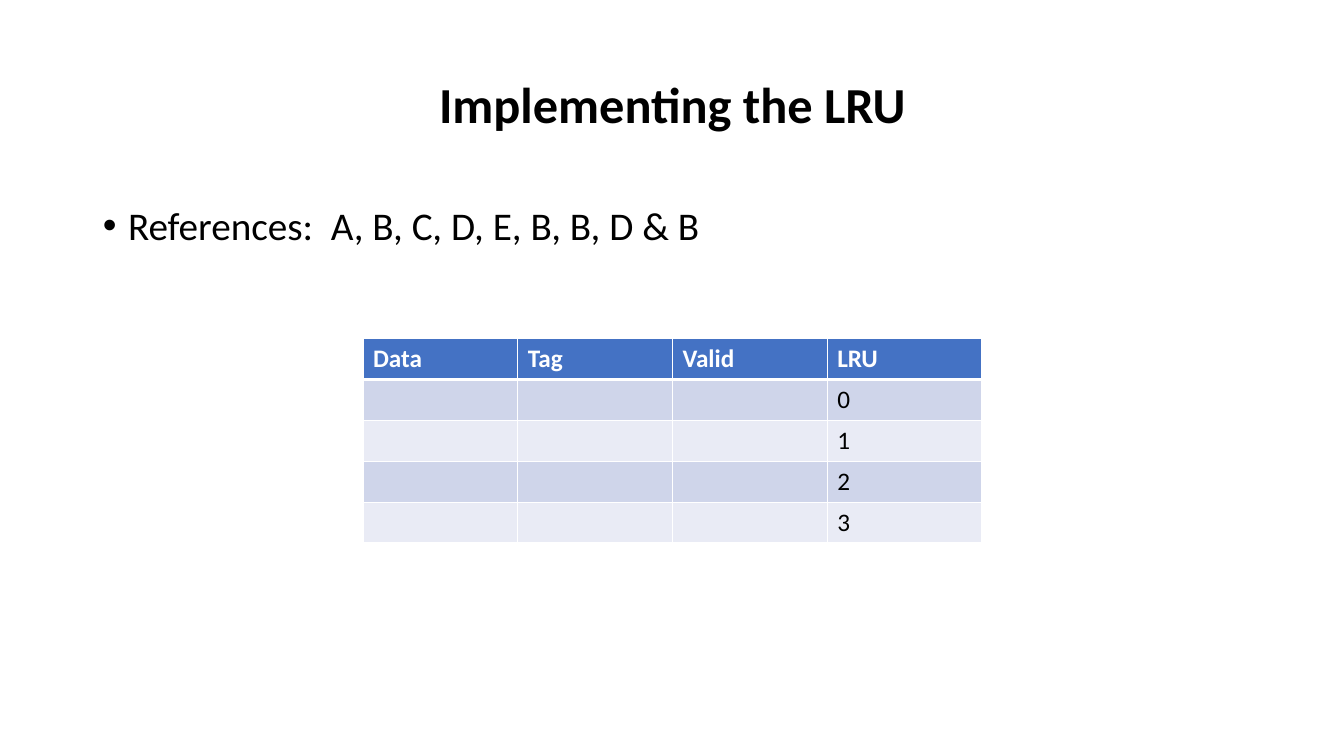
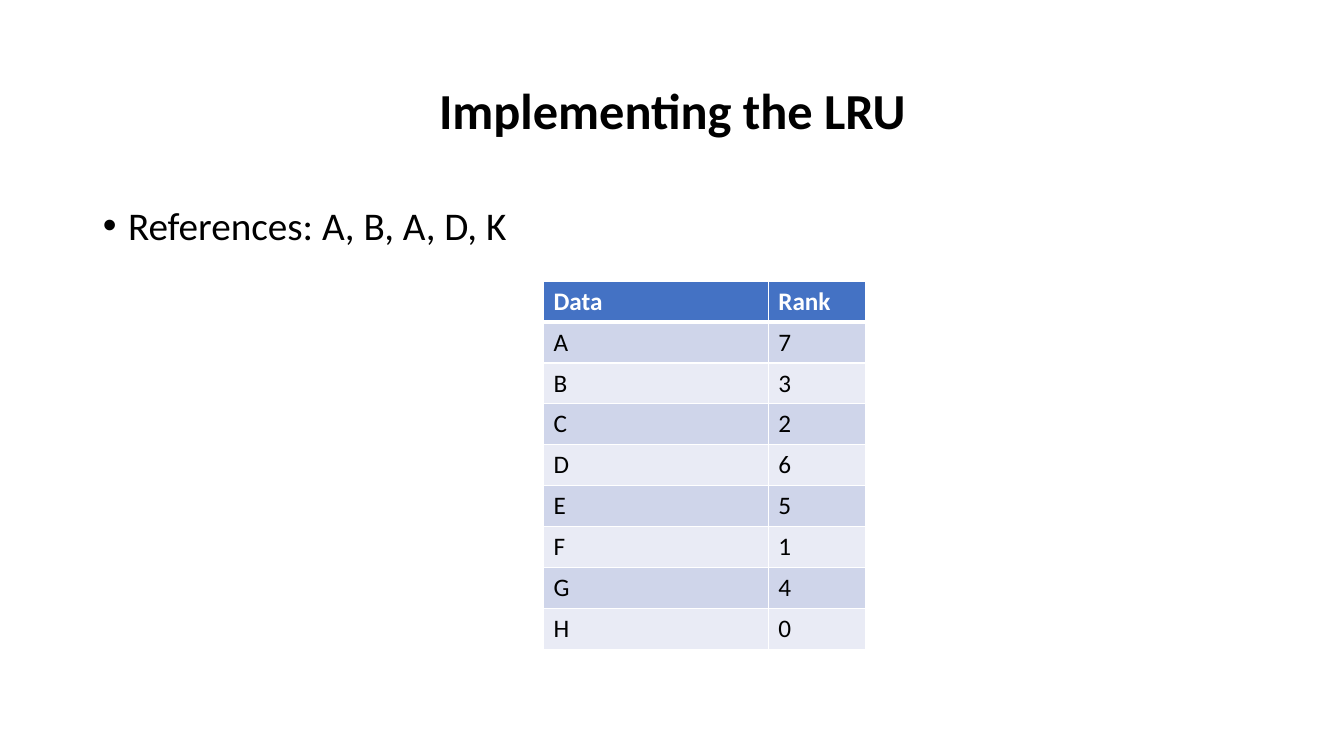
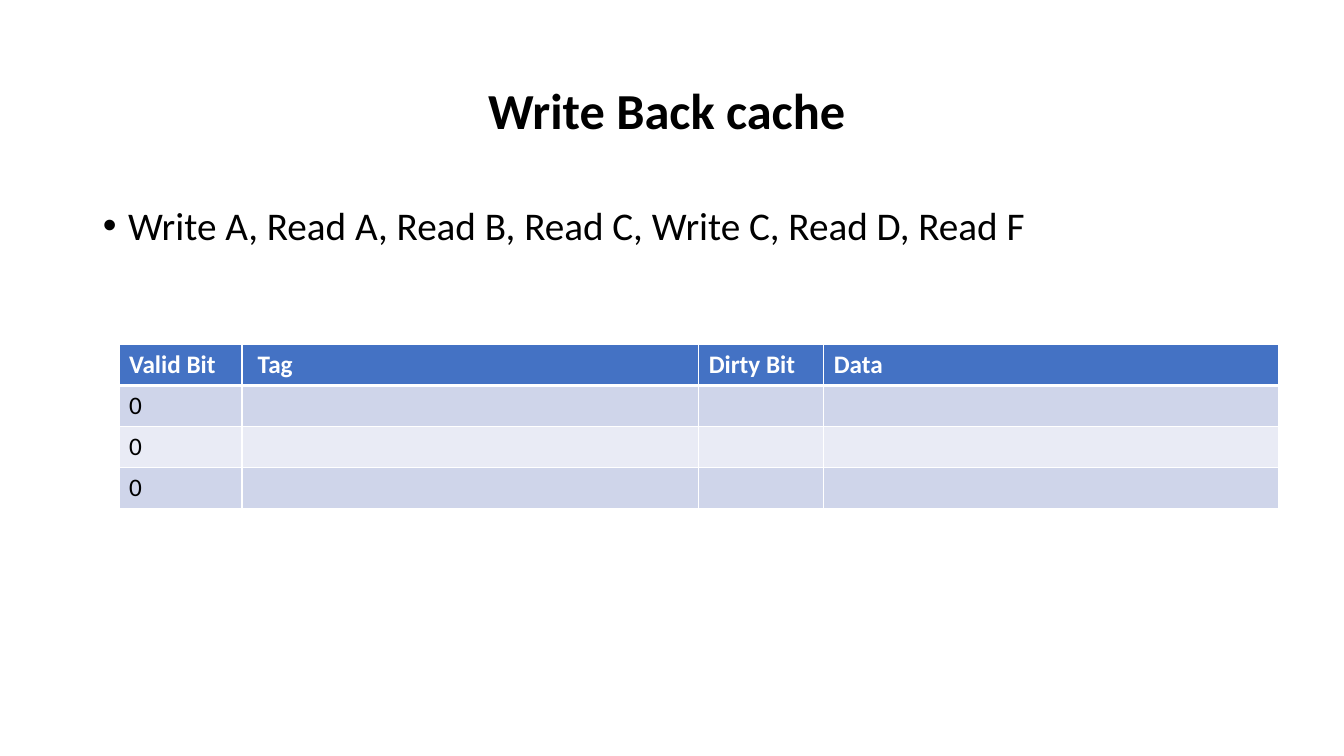
from pptx import Presentation
from pptx.dml.color import RGBColor
from pptx.enum.text import MSO_ANCHOR, PP_ALIGN
from pptx.oxml.ns import qn
from pptx.util import Inches, Pt
from lxml import etree

CENTER = PP_ALIGN.CENTER
MIDDLE = MSO_ANCHOR.MIDDLE

BLACK = RGBColor(0x00, 0x00, 0x00)
WHITE = RGBColor(0xFF, 0xFF, 0xFF)
HEADER = RGBColor(0x44, 0x72, 0xC4)
BANDS = (RGBColor(0xCF, 0xD5, 0xEA), RGBColor(0xE9, 0xEB, 0xF5))

FONT = "Calibri"
LEFT, WIDTH = 0.92, 11.5
ROW_HEIGHT = 3.65 / 9


def format_runs(p, size, color, bold=False):
    for r in p.runs:
        r.font.name = FONT
        r.font.size = Pt(size)
        r.font.bold = bold
        r.font.color.rgb = color


def place(shape, left, top, width, height):
    shape.left, shape.top = Inches(left), Inches(top)
    shape.width, shape.height = Inches(width), Inches(height)


def fill_title(title, text, top):
    place(title, LEFT, top, WIDTH, 1.45)
    tf = title.text_frame
    tf.text = text
    tf.vertical_anchor = MIDDLE
    p = tf.paragraphs[0]
    p.alignment = CENTER
    p.line_spacing = 0.9
    format_runs(p, 36, BLACK, bold=True)


def fill_body(body, text):
    place(body, LEFT, 2, WIDTH, 4.76)
    tf = body.text_frame
    tf.text = text
    p = tf.paragraphs[0]
    p.line_spacing = 0.9
    p.space_before = Pt(10)
    format_runs(p, 28, BLACK)
    # Hanging bullet
    pPr = p._p.get_or_add_pPr()
    pPr.set("marL", str(Inches(0.25)))
    pPr.set("indent", str(-Inches(0.25)))
    etree.SubElement(pPr, qn("a:buFont")).set("typeface", "Arial")
    etree.SubElement(pPr, qn("a:buChar")).set("char", "•")


def set_borders(cell, top, bottom):
    tcPr = cell._tc.get_or_add_tcPr()
    for side, width in (("L", 1), ("R", 1), ("T", top), ("B", bottom)):
        ln = etree.SubElement(tcPr, qn(f"a:ln{side}"), w=str(Pt(width)))
        fill = etree.SubElement(ln, qn("a:solidFill"))
        etree.SubElement(fill, qn("a:srgbClr"), val=str(WHITE))


def add_banded_table(s, left, top, col_widths, rows):
    """Blue header row, then alternating bands, with white rules."""
    frame = s.shapes.add_table(
        len(rows), len(col_widths), Inches(left), Inches(top),
        Inches(sum(col_widths)), Inches(ROW_HEIGHT * len(rows)))
    table = frame.table
    for column, width in zip(table.columns, col_widths):
        column.width = Inches(width)
    for i, values in enumerate(rows):
        is_header = i == 0
        for j, value in enumerate(values):
            cell = table.cell(i, j)
            cell.text = value
            format_runs(cell.text_frame.paragraphs[0], 18,
                        WHITE if is_header else BLACK, is_header)
            set_borders(cell, top=3 if i == 1 else 1,
                        bottom=3 if is_header else 1)
            cell.fill.solid()
            cell.fill.fore_color.rgb = HEADER if is_header else BANDS[(i - 1) % 2]


def add_cache_slide(prs, title, references, table, title_top=0.4):
    s = prs.slides.add_slide(prs.slide_layouts[1])
    fill_title(s.shapes.title, title, title_top)
    fill_body(s.placeholders[1], references)
    add_banded_table(s, *table)


def main():
    prs = Presentation()
    prs.slide_width, prs.slide_height = Inches(13.33), Inches(7.5)

    # LRU bits per cache line
    lru_rows = [("Data", "Tag", "Valid", "LRU")]
    lru_rows += [("", "", "", str(n)) for n in range(4)]
    add_cache_slide(prs, "Implementing the LRU",
                    "References:  A, B, C, D, E, B, B, D & B",
                    (3.6, 3.36, [6.14 / 4] * 4, lru_rows), title_top=0.34)

    # Rank of each data item
    rank_rows = [("Data", "Rank"), *zip("ABCDEFGH", "73265140")]
    add_cache_slide(prs, "Implementing the LRU", "References: A, B, A, D, K",
                    (5.39, 2.79, [2.23, 0.97], rank_rows))

    # Write-back lines with valid and dirty bits
    write_rows = [("Valid Bit", " Tag", "Dirty Bit", "Data")]
    write_rows += [("0", "", "", "")] * 3
    add_cache_slide(prs, "Write Back cache ",
                    "Write A, Read A, Read B, Read C, Write C, Read D, Read F",
                    (1.18, 3.42, [1.22, 4.53, 1.24, 4.51], write_rows))

    prs.save("out.pptx")


if __name__ == "__main__":
    main()
